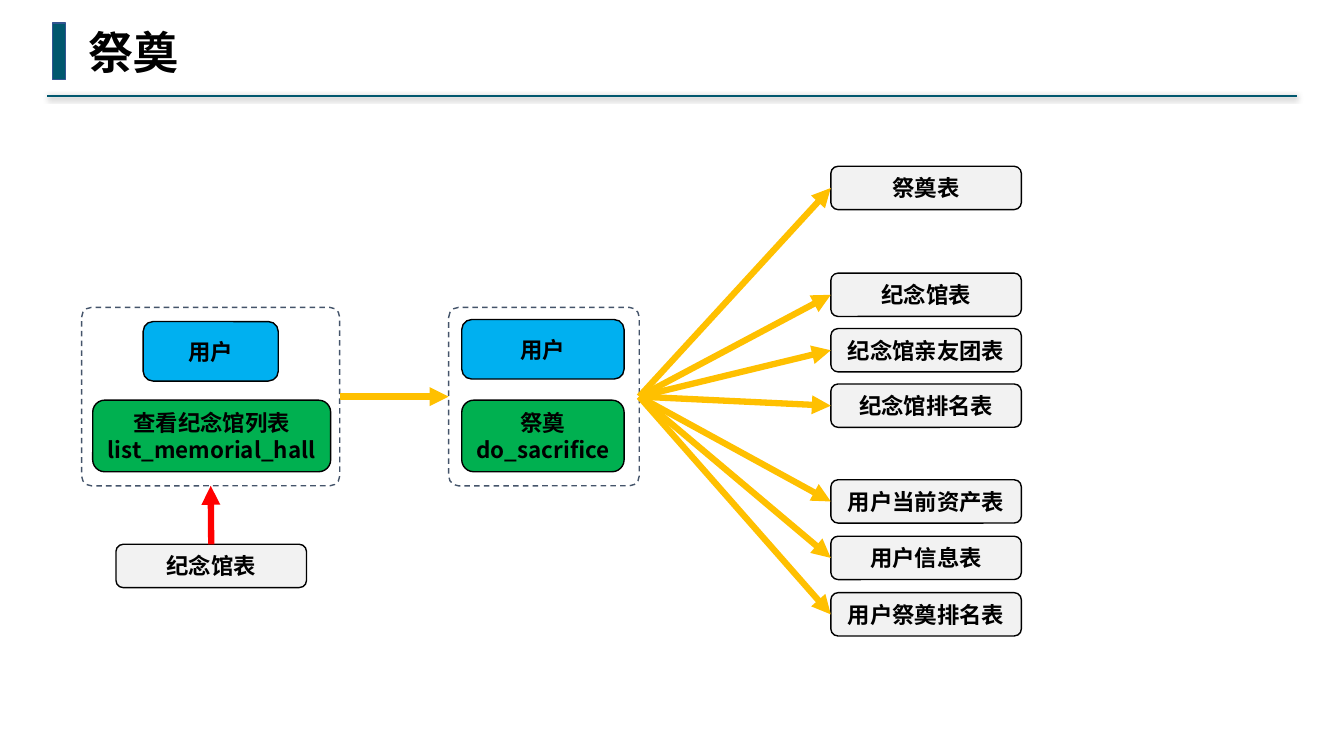
from lxml import etree
from pptx import Presentation
from pptx.dml.color import RGBColor
from pptx.enum.dml import MSO_LINE
from pptx.enum.shapes import MSO_CONNECTOR, MSO_SHAPE
from pptx.enum.text import MSO_ANCHOR, MSO_AUTO_SIZE, PP_ALIGN
from pptx.oxml.ns import qn
from pptx.util import Inches, Pt

STRAIGHT = MSO_CONNECTOR.STRAIGHT
RECTANGLE, ROUNDED = MSO_SHAPE.RECTANGLE, MSO_SHAPE.ROUNDED_RECTANGLE
DASH = MSO_LINE.DASH
MIDDLE = MSO_ANCHOR.MIDDLE
FIT_SHAPE = MSO_AUTO_SIZE.SHAPE_TO_FIT_TEXT
LEFT, CENTER = PP_ALIGN.LEFT, PP_ALIGN.CENTER
TOP_SITE, LEFT_SITE, BOTTOM_SITE, RIGHT_SITE = range(4)

BODY_FONT, TITLE_FONT = "Noto Sans CJK SC", "Noto Sans Mono"
COLORS = {
    "accent": "00576E", "accent_edge": "325491", "frame": "44546A",
    "user": "00B0F0", "action": "00B050", "table": "F2F2F2",
    "write": "FFC000", "read": "FF0000", "black": "000000",
}
TABLE_SIZE = (1.89, 0.43)
TABLE_GROUPS = [
    (1.65, 0.55, ["祭奠表"]),
    (2.71, 0.55, ["纪念馆表", "纪念馆亲友团表", "纪念馆排名表"]),
    (4.76, 0.56, ["用户当前资产表", "用户信息表", "用户祭奠排名表"]),
]


def color(name):
    """Return the named palette colour."""
    return RGBColor.from_string(COLORS[name])


def write_text(text_frame, text, size=16, font=BODY_FONT, align=CENTER, margin=0.04):
    """Fill a text frame with bold black paragraphs, one per line of text."""
    text_frame.word_wrap = False
    text_frame.vertical_anchor = MIDDLE
    text_frame.margin_left = text_frame.margin_right = Inches(margin)
    text_frame.margin_top = text_frame.margin_bottom = Inches(0.04)
    text_frame.text = text
    for paragraph in text_frame.paragraphs:
        paragraph.alignment = align
        for run in paragraph.runs:
            run.font.name = font
            run.font.size = Pt(size)
            run.font.bold = True
            run.font.color.rgb = color("black")
            east_asian = etree.SubElement(run.font._element, qn("a:ea"))
            east_asian.set("typeface", BODY_FONT)


def add_box(slide, box, kind=ROUNDED, fill=None, line="black", text=None):
    """Add an outlined shape with an optional fill and label."""
    shape = slide.shapes.add_shape(kind, *map(Inches, box))
    shape.shadow.inherit = False
    shape.line.color.rgb = color(line)
    shape.line.width = Pt(1)
    if fill:
        shape.fill.solid()
        shape.fill.fore_color.rgb = color(fill)
    else:
        shape.fill.background()
    if text:
        write_text(shape.text_frame, text)
    return shape


def add_line(slide, points, line, width):
    """Add a straight connector and return it with its empty effect list."""
    connector = slide.shapes.add_connector(STRAIGHT, *map(Inches, points))
    connector.line.color.rgb = color(line)
    connector.line.width = Pt(width)
    effects = etree.SubElement(connector._element.spPr, qn("a:effectLst"))
    return connector, effects


def add_arrow(slide, source, source_site, target, target_site, line="write"):
    """Join two shapes with a thick arrow."""
    connector, _ = add_line(slide, (0, 0, 0, 0), line, 4.5)
    connector.begin_connect(source, source_site)
    connector.end_connect(target, target_site)
    etree.SubElement(connector.line._get_or_add_ln(), qn("a:tailEnd"), type="triangle")


def add_header(slide, box, text):
    """Add the title with its marker and the shadowed rule below it."""
    left, top, width, height = box
    bottom = top + height
    _, effects = add_line(slide, (left + width, bottom, left, bottom), "accent", 1.5)
    shadow = etree.SubElement(
        effects, qn("a:outerShdw"), blurRad=str(Pt(4)), dist=str(Pt(1)),
        dir="5400000", algn="t", rotWithShape="0")
    shade = etree.SubElement(shadow, qn("a:srgbClr"), val=COLORS["black"])
    etree.SubElement(shade, qn("a:alpha"), val="40000")
    add_box(slide, (left + 0.05, top + 0.04, 0.13, 0.56), RECTANGLE, "accent", "accent_edge")
    title = slide.shapes.title
    title.left, title.top = Inches(left + 0.31), Inches(top)
    title.width, title.height = Inches(1.1), Inches(0.64)
    write_text(title.text_frame, text, size=32, font=TITLE_FONT, align=LEFT, margin=0.1)
    title.text_frame.auto_size = FIT_SHAPE


def add_step(slide, box, user_box, action_box, action):
    """Add a dashed frame holding a user and an action, offset from its corner."""
    left, top = box[:2]
    frame = add_box(slide, box, line="frame")
    frame.adjustments[0] = 0.055
    frame.line.dash_style = DASH
    for (x, y, width, height), fill, text in (
            (user_box, "user", "用户"), (action_box, "action", action)):
        add_box(slide, (left + x, top + y, width, height), fill=fill, text=text)
    return frame


def add_table_box(slide, left, top, text):
    """Add a box that stands for one database table."""
    return add_box(slide, (left, top, *TABLE_SIZE), fill="table", text=text)


def add_written_tables(slide, left, source):
    """Add the groups of tables that the source step writes to."""
    for top, pitch, names in TABLE_GROUPS:
        for index, name in enumerate(names):
            table_box = add_table_box(slide, left, top + index * pitch, name)
            add_arrow(slide, source, RIGHT_SITE, table_box, LEFT_SITE)


def build_slide(presentation):
    """Build the flow from the hall list to the tables of a sacrifice."""
    slide = presentation.slides.add_slide(presentation.slide_layouts[5])
    add_header(slide, (0.47, 0.19, 12.39, 0.76), "祭奠")
    listing = add_step(slide, (0.81, 3.05, 2.56, 1.77), (0.61, 0.14, 1.34, 0.59),
                       (0.11, 0.92, 2.36, 0.71), "查看纪念馆列表\nlist_memorial_hall")
    sacrifice = add_step(slide, (4.45, 3.05, 1.89, 1.77), (0.13, 0.12, 1.61, 0.59),
                         (0.13, 0.92, 1.61, 0.71), "祭奠\ndo_sacrifice")
    add_arrow(slide, listing, RIGHT_SITE, sacrifice, LEFT_SITE)
    hall_table = add_table_box(slide, 1.15, 5.4, "纪念馆表")
    add_arrow(slide, hall_table, TOP_SITE, listing, BOTTOM_SITE, "read")
    add_written_tables(slide, 8.24, sacrifice)


def main():
    """Create and save the presentation."""
    presentation = Presentation()
    presentation.slide_width = Inches(13.33)
    presentation.slide_height = Inches(7.5)
    build_slide(presentation)
    presentation.save("out.pptx")


main()
